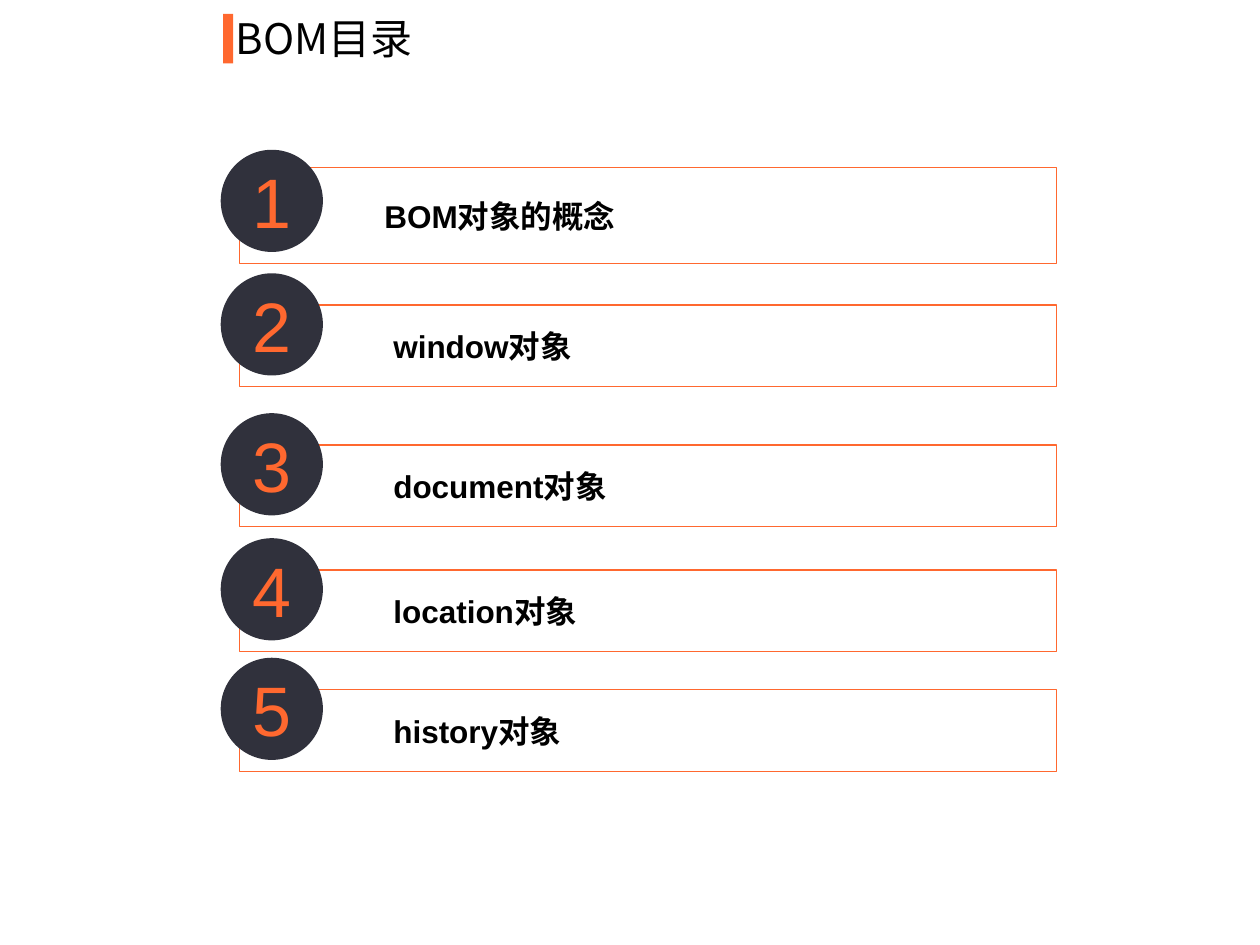
import pptx
import pptx.dml.color
import pptx.enum.shapes
import pptx.enum.text
import pptx.oxml.ns
import pptx.util
from lxml import etree

Cm = pptx.util.Cm
Pt = pptx.util.Pt
Kind = pptx.enum.shapes.MSO_SHAPE
Align = pptx.enum.text.PP_ALIGN
Anchor = pptx.enum.text.MSO_ANCHOR
qn = pptx.oxml.ns.qn

ORANGE, DARK, WHITE, BLACK = "FF682F", "30313C", "FFFFFF", "000000"
HAN = "Noto Sans CJK SC"


def paint(part, tone):
    if hasattr(part, "solid"):
        part.solid()
        part = part.fore_color
    part.rgb = pptx.dml.color.RGBColor.from_string(tone)


def write(shape, words, tone, font, frame, align):
    body = shape.text_frame
    for key, value in frame.items():
        setattr(body, key, value)
    line = body.paragraphs[0]
    line.alignment = align
    run = line.add_run()
    run.text = words
    for key, value in font.items():
        setattr(run.font, key, value)
    paint(run.font.color, tone)
    etree.SubElement(run.font._element, qn("a:ea"), typeface=HAN)


deck = pptx.Presentation()
deck.slide_width, deck.slide_height = Cm(25.4), Cm(19.05)
slide = deck.slides.add_slide(deck.slide_layouts[5])
shapes = slide.shapes

mark = shapes.add_shape(Kind.RECTANGLE, Cm(4.5), Cm(0.28), Cm(0.2), Cm(1))
mark.shadow.inherit = False
paint(mark.fill, ORANGE)
mark.line.fill.background()

title = shapes.title
place = {"left": Cm(4.5), "top": Cm(0.13), "width": Cm(10.2), "height": Cm(1.27)}
for key, value in place.items():
    setattr(title, key, value)
write(title, "BOM目录", BLACK, {"size": Pt(24), "name": HAN},
      {"vertical_anchor": Anchor.TOP, "word_wrap": True,
       "auto_size": pptx.enum.text.MSO_AUTO_SIZE.SHAPE_TO_FIT_TEXT}, Align.LEFT)

label = {"size": Pt(18), "name": "Arial", "bold": True}
digit = {"size": Pt(40), "name": "Arial"}
middle = {"vertical_anchor": Anchor.MIDDLE, "word_wrap": True}

rows = [
    ("BOM对象的概念", 3.02, 0.36, 1.94, 2.92),
    ("window对象", 5.51, 0.64, 1.65, 3.1),
    ("document对象", 8.33, 0.64, 1.65, 3.1),
    ("location对象", 10.85, 0.64, 1.65, 3.1),
    ("history对象", 13.26, 0.64, 1.65, 3.1),
]
for num, (words, top, drop, high, inset) in enumerate(rows, 1):
    bar = shapes.add_shape(Kind.RECTANGLE, Cm(4.83), Cm(top + drop), Cm(16.47), Cm(high))
    bar.shadow.inherit = False
    paint(bar.fill, WHITE)
    tint = bar.fill._xPr.find(".//" + qn("a:srgbClr"))
    etree.SubElement(tint, qn("a:alpha"), val="40000")
    paint(bar.line.fill, ORANGE)
    bar.line.width = Pt(0.75)
    write(bar, words, BLACK, label, {**middle, "margin_left": Cm(inset)}, Align.LEFT)

    disc = shapes.add_shape(Kind.OVAL, Cm(4.45), Cm(top), Cm(2.06), Cm(2.06))
    disc.shadow.inherit = False
    paint(disc.fill, DARK)
    disc.line.fill.background()
    write(disc, str(num), ORANGE, digit, middle, Align.CENTER)

deck.save("out.pptx")
